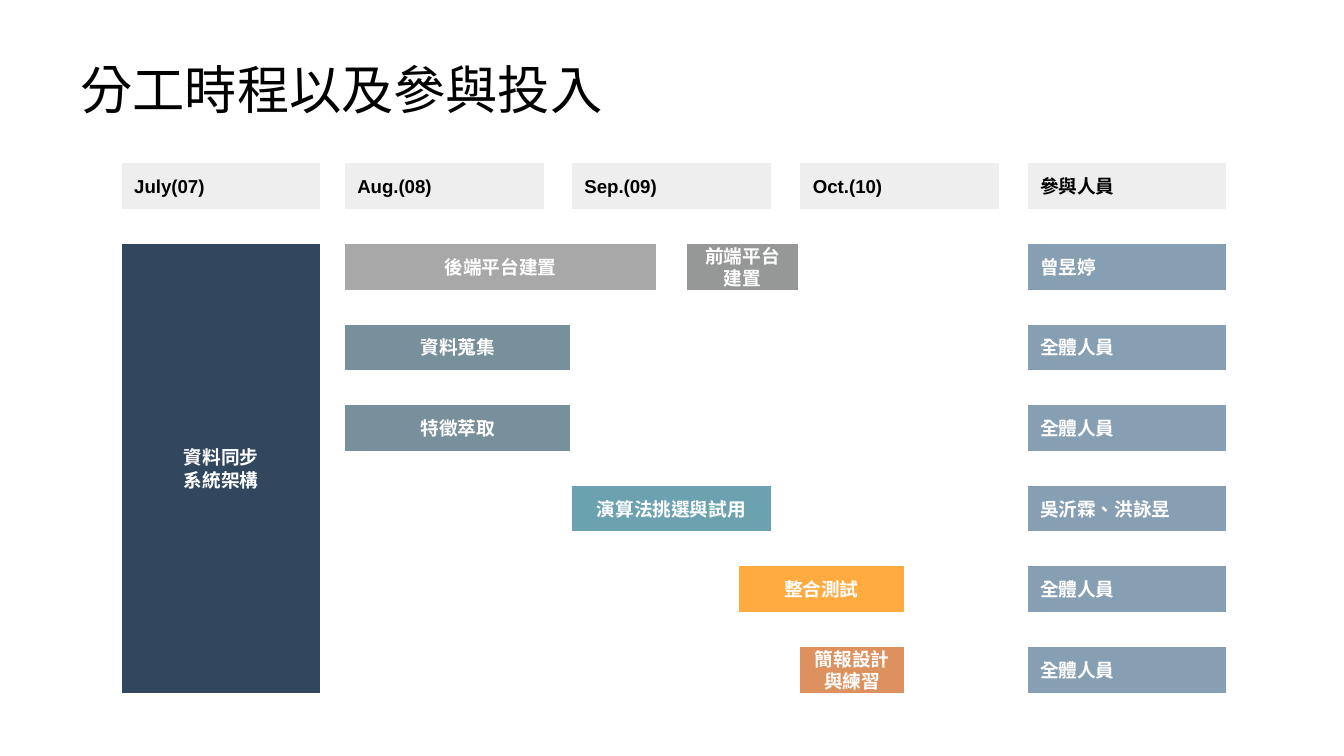
"""Build a project schedule slide with monthly columns, task bars and people."""
from pptx import Presentation
from pptx.dml.color import RGBColor
from pptx.enum.lang import MSO_LANGUAGE_ID
from pptx.enum.shapes import MSO_SHAPE
from pptx.enum.text import MSO_ANCHOR, PP_ALIGN
from pptx.util import Inches, Pt

RECTANGLE = MSO_SHAPE.RECTANGLE
MIDDLE = MSO_ANCHOR.MIDDLE
LEFT, CENTER = PP_ALIGN.LEFT, PP_ALIGN.CENTER
CHINESE = MSO_LANGUAGE_ID.TRADITIONAL_CHINESE

BLACK = RGBColor(0x00, 0x00, 0x00)
WHITE = RGBColor(0xFF, 0xFF, 0xFF)
HEADER_GRAY = RGBColor(0xEE, 0xEE, 0xEE)
NAVY = RGBColor(0x30, 0x47, 0x5E)
LIGHT_GRAY = RGBColor(0xA8, 0xA8, 0xA8)
DARK_GRAY = RGBColor(0x96, 0x97, 0x97)
SLATE = RGBColor(0x78, 0x90, 0x9C)
TEAL = RGBColor(0x6C, 0xA1, 0xB0)
AMBER = RGBColor(0xFF, 0xAB, 0x40)
ORANGE = RGBColor(0xDD, 0x91, 0x5E)
STEEL = RGBColor(0x86, 0x9F, 0xB2)

COLUMN_WIDTH = 1.49
BAR_HEIGHT = 0.35
HEADER_TOP = 1.21
ROW_STEP = 0.6
FIRST_ROW_TOP = HEADER_TOP + ROW_STEP
JULY, AUGUST, SEPTEMBER, OCTOBER, PEOPLE = 0.9, 2.56, 4.25, 5.95, 7.64


def write_text(shape, text, size=10, font="Arial", color=WHITE, bold=True, align=LEFT):
    text_frame = shape.text_frame
    text_frame.word_wrap = True
    text_frame.vertical_anchor = MIDDLE
    text_frame.margin_left = text_frame.margin_right = Inches(0.1)
    text_frame.margin_top = text_frame.margin_bottom = Inches(0.1)
    paragraph = text_frame.paragraphs[0]
    paragraph.text = text
    paragraph.alignment = align
    for run in paragraph.runs:
        run.font.size = Pt(size)
        run.font.name = font
        run.font.bold = bold
        run.font.color.rgb = color
        run.font.language_id = CHINESE


def add_bar(text, left, top, width, fill, height=BAR_HEIGHT, **text_format):
    shape = slide.shapes.add_shape(
        RECTANGLE, Inches(left), Inches(top), Inches(width), Inches(height))
    shape.shadow.inherit = False
    shape.fill.solid()
    shape.fill.fore_color.rgb = fill
    shape.line.color.rgb = WHITE
    shape.line.width = Pt(0.75)
    write_text(shape, text, **text_format)


presentation = Presentation()
presentation.slide_width = Inches(10)
presentation.slide_height = Inches(10) * 9 // 16
slide = presentation.slides.add_slide(presentation.slide_layouts[6])

title = slide.shapes.add_textbox(Inches(0.5), Inches(0.45), Inches(4.71), Inches(0.42))
write_text(title, "分工時程以及參與投入", size=28, font="Lato", color=BLACK, bold=False)

headers = [
    ("July(07)", JULY),
    ("Aug.(08)", AUGUST),
    ("Sep.(09)", SEPTEMBER),
    ("Oct.(10)", OCTOBER),
    ("參與人員", PEOPLE),
]
for text, left in headers:
    add_bar(text, left, HEADER_TOP, COLUMN_WIDTH, HEADER_GRAY, color=BLACK)

people = ["曾昱婷", "全體人員", "全體人員", "吳沂霖、洪詠昱", "全體人員", "全體人員"]
for row, text in enumerate(people):
    add_bar(text, PEOPLE, FIRST_ROW_TOP + row * ROW_STEP, COLUMN_WIDTH, STEEL)

july_height = (len(people) - 1) * ROW_STEP + BAR_HEIGHT
add_bar("資料同步\n系統架構", JULY, FIRST_ROW_TOP, COLUMN_WIDTH, NAVY,
        height=july_height, align=CENTER)

tasks = [
    ("後端平台建置", 0, AUGUST, 2.33, LIGHT_GRAY),
    ("前端平台建置", 0, 5.11, 0.83, DARK_GRAY),
    ("資料蒐集", 1, AUGUST, 1.69, SLATE),
    ("特徵萃取", 2, AUGUST, 1.69, SLATE),
    ("演算法挑選與試用", 3, SEPTEMBER, COLUMN_WIDTH, TEAL),
    ("整合測試", 4, 5.49, 1.24, AMBER),
    ("簡報設計與練習", 5, OCTOBER, 0.78, ORANGE),
]
for text, row, left, width, fill in tasks:
    add_bar(text, left, FIRST_ROW_TOP + row * ROW_STEP, width, fill, align=CENTER)

presentation.save("out.pptx")
